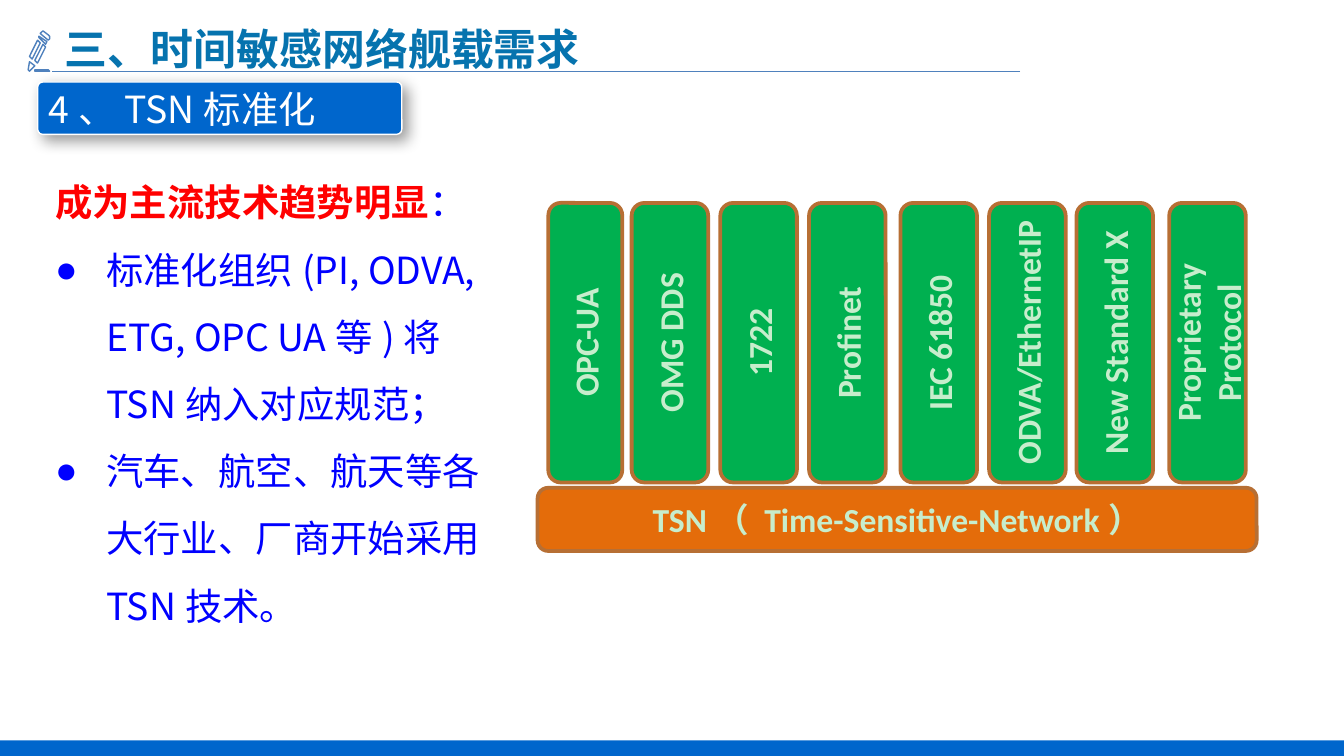
import pptx
import pptx.util
import pptx.dml.color
import pptx.enum.shapes
import pptx.enum.text
import pptx.oxml
import pptx.oxml.ns
import lxml.etree

Inches = pptx.util.Inches
Pt = pptx.util.Pt
Shapes = pptx.enum.shapes.MSO_SHAPE
Anchor = pptx.enum.text.MSO_ANCHOR
Align = pptx.enum.text.PP_ALIGN

COLORS = {
    "white": "FFFFFF", "mint": "C7EDCC", "blue": "0066CC", "title": "0673AE",
    "rule": "4F81BD", "orange": "E46C0A", "brown": "B76F34", "green": "00B050",
    "red": "FF0000", "ink": "0000FF", "black": "000000",
}
CJK = "Noto Sans CJK SC"
WIDTH = 10
HEIGHT = WIDTH * 9 / 16

TITLE = "三、时间敏感网络舰载需求"
SECTION = "4、TSN标准化"
LEAD = [("成为主流技术趋势明显", "red", True), ("：", "ink", False)]
POINTS = [
    "标准化组织(PI, ODVA, ETG, OPC UA等)将TSN纳入对应规范；",
    "汽车、航空、航天等各大行业、厂商开始采用TSN技术。",
]
BASE = "TSN（ Time-Sensitive-Network）"
PILLARS = [
    ("OPC-UA", 4.08, 0.55), ("OMG DDS", 4.7, 0.57), ("1722", 5.36, 0.57),
    ("Profinet", 6.02, 0.57), ("IEC 61850", 6.7, 0.57),
    ("ODVA/EthernetIP", 7.36, 0.57), ("New Standard X", 8.01, 0.57),
    ("Proprietary Protocol", 8.7, 0.57),
]
PENCIL_UNIT = Inches(0.01)
PENCIL = [
    [(26, 52), (36, 52), (37, 53), (26, 53)],
    [(26, 45), (32, 33), (34, 35), (28, 47)],
    [(22, 42), (28, 30), (30, 32), (24, 44)],
    [(21, 52), (22, 46), (26, 49), (22, 53)],
    [(29, 27), (29, 28), (34, 33), (35, 31)],
    [(31, 24), (32, 23), (36, 26), (37, 27), (37, 29), (36, 30), (30, 25)],
]


def rgb(name):
    return pptx.dml.color.RGBColor.from_string(COLORS[name])


def add_child(parent, tag, **attributes):
    child = lxml.etree.SubElement(parent, pptx.oxml.ns.qn(tag))
    for key, value in attributes.items():
        child.set(key, str(value))
    return child


def add_span(para, text, size, font, color, bold=False):
    span = para.add_run()
    span.text = text
    span.font.size = Pt(size)
    span.font.name = font
    span.font.bold = bold
    span.font.color.rgb = rgb(color)
    add_child(span.font._element, "a:ea", typeface=CJK)


def place(box, left, top, width, height):
    box.left, box.top = Inches(left), Inches(top)
    box.width, box.height = Inches(width), Inches(height)


def set_insets(frame, side, end):
    frame.margin_left = frame.margin_right = Inches(side)
    frame.margin_top = frame.margin_bottom = Inches(end)


def paint(shape, fill, line=None, weight=0.75):
    shape.shadow.inherit = False
    shape.fill.solid()
    shape.fill.fore_color.rgb = rgb(fill)
    if line:
        shape.line.color.rgb = rgb(line)
        shape.line.width = Pt(weight)
    else:
        shape.line.fill.background()


def add_panel(page, kind, at, fill, line=None, weight=0.75):
    panel = page.shapes.add_shape(kind, *map(Inches, at))
    paint(panel, fill, line, weight)
    panel.text_frame.word_wrap = True
    panel.text_frame.vertical_anchor = Anchor.MIDDLE
    return panel


def add_block(page, text, at, fill):
    block = add_panel(page, Shapes.ROUNDED_RECTANGLE, at, fill, "brown", 2)
    para = block.text_frame.paragraphs[0]
    para.alignment = Align.CENTER
    add_span(para, text, 18, "Calibri", "mint", True)
    return block


def add_title(page):
    box = page.shapes.title
    place(box, 0.41, 0.13, 4.01, 0.46)
    frame = box.text_frame
    set_insets(frame, 0.07, 0.04)
    frame.word_wrap = False
    frame.auto_size = pptx.enum.text.MSO_AUTO_SIZE.NONE
    frame.vertical_anchor = Anchor.TOP
    para = frame.paragraphs[0]
    para.alignment = Align.LEFT
    add_span(para, TITLE, 23, "Arial", "title", True)


def add_pencil(page):
    start, *rest = PENCIL[0]
    builder = page.shapes.build_freeform(*start, scale=PENCIL_UNIT)
    builder.add_line_segments(rest)
    for first, *others in PENCIL[1:]:
        builder.move_to(*first)
        builder.add_line_segments(others)
    paint(builder.convert_to_shape(), "white", "rule")


def add_rule(page):
    rule = page.shapes.add_connector(
        pptx.enum.shapes.MSO_CONNECTOR.STRAIGHT,
        Inches(7.59), Inches(0.53), Inches(0.39), Inches(0.53))
    rule.line.color.rgb = rgb("rule")
    rule.line.width = Pt(0.75)
    add_child(rule._element.spPr, "a:effectLst")


def add_section(page):
    tab = add_panel(page, Shapes.ROUNDED_RECTANGLE, (0.28, 0.61, 2.71, 0.39), "blue", "white")
    tab.adjustments[0] = 0.1
    effects = tab._element.spPr.find(pptx.oxml.ns.qn("a:effectLst"))
    shadow = add_child(effects, "a:outerShdw", blurRad=Pt(8), dist=Pt(4),
                       dir=45 * 60000, algn="tl", rotWithShape=0)
    tint = add_child(shadow, "a:srgbClr", val=COLORS["black"])
    add_child(tint, "a:alpha", val=40000)
    set_insets(tab.text_frame, 0.07, 0.04)
    para = tab.text_frame.paragraphs[0]
    para.alignment = Align.LEFT
    add_span(para, SECTION, 20, CJK, "white")


def add_body(page):
    box = page.placeholders[1]
    place(box, 0.31, 1.12, 3.51, 3.57)
    frame = box.text_frame
    frame.word_wrap = True
    frame.auto_size = pptx.enum.text.MSO_AUTO_SIZE.NONE
    frame.vertical_anchor = Anchor.TOP
    lines = [LEAD] + [[(point, "ink", False)] for point in POINTS]
    for index, spans in enumerate(lines):
        para = frame.add_paragraph() if index else frame.paragraphs[0]
        para.line_spacing = 1.5
        para.space_before = Pt(0)
        indent = Inches(0.38) if index else 0
        layout = para._p.get_or_add_pPr()
        layout.set("marL", str(indent))
        layout.set("indent", str(-indent))
        if index:
            add_child(layout, "a:buFont", typeface="Arial")
            add_child(layout, "a:buChar", char="●")
        else:
            add_child(layout, "a:buNone")
        for text, color, bold in spans:
            add_span(para, text, 20, CJK, color, bold)


def main():
    deck = pptx.Presentation()
    deck.slide_width, deck.slide_height = Inches(WIDTH), Inches(HEIGHT)
    page = deck.slides.add_slide(deck.slide_layouts[1])
    page.background.fill.solid()
    page.background.fill.fore_color.rgb = rgb("white")
    add_panel(page, Shapes.RECTANGLE, (0, 5.51, WIDTH, HEIGHT - 5.51), "blue")
    add_title(page)
    add_pencil(page)
    add_rule(page)
    add_section(page)
    add_block(page, BASE, (4, 3.63, 5.35, 0.47), "orange")
    for name, left, width in PILLARS:
        pillar = add_block(page, name, (left, 1.51, width, 2.08), "green")
        pillar._element.txBody.bodyPr.set("vert", "vert270")
    add_body(page)
    deck.save("out.pptx")


if __name__ == "__main__":
    main()
